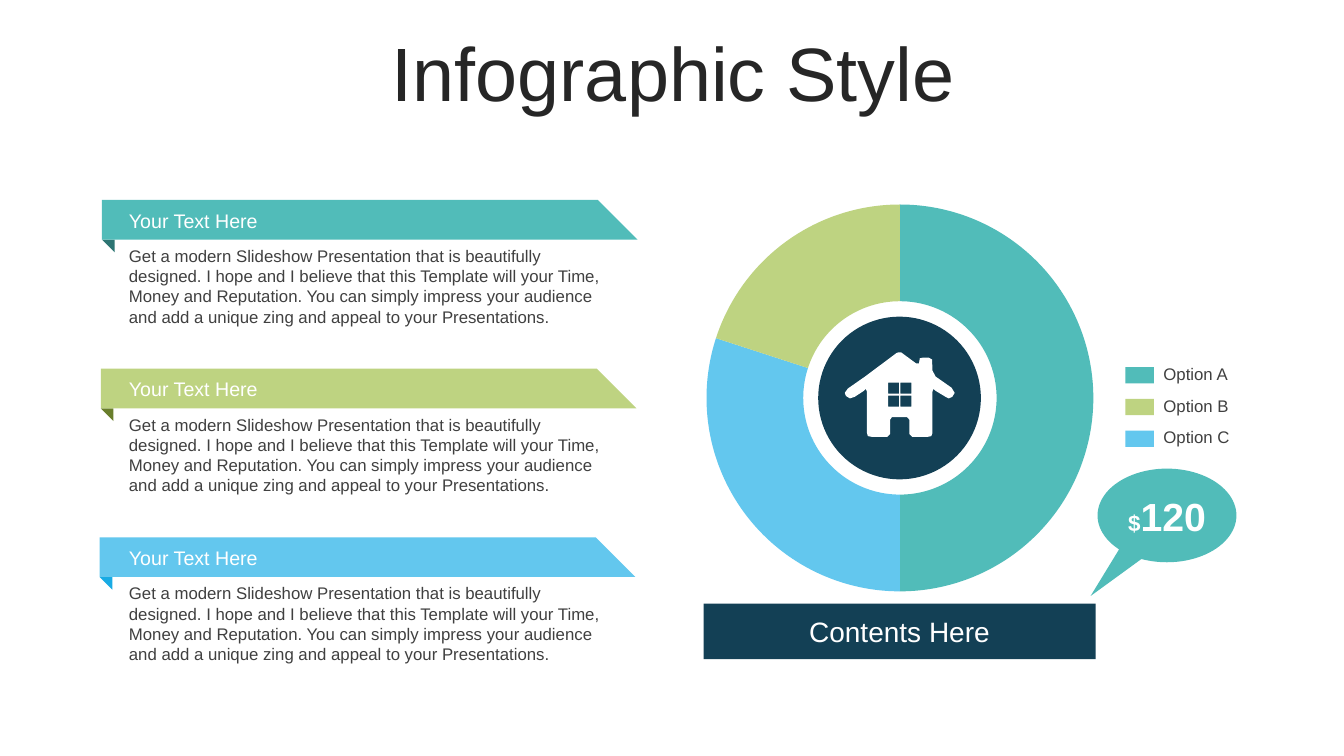
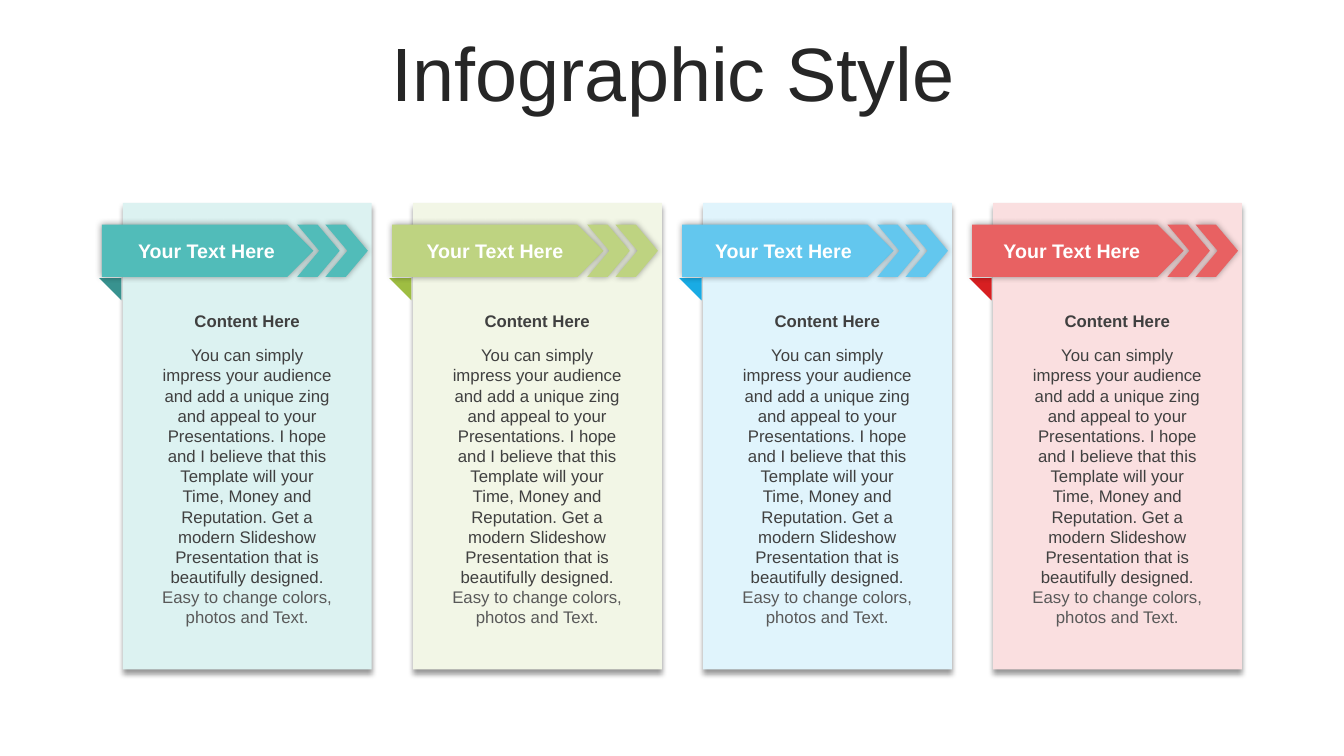
"""Build two infographic slides: a doughnut with ribbons and four arrow cards."""
from lxml.etree import SubElement
from pptx import Presentation
from pptx.chart.data import CategoryChartData
from pptx.dml.color import RGBColor
from pptx.enum.chart import XL_CHART_TYPE
from pptx.enum.shapes import MSO_SHAPE
from pptx.enum.text import MSO_ANCHOR, MSO_AUTO_SIZE, PP_ALIGN
from pptx.oxml.ns import qn
from pptx.util import Cm, Pt

COLOURS = {
    "white": "FFFFFF", "title": "262626", "text": "404040", "soft": "595959",
    "black": "000000", "navy": "134055",
    "teal": "51BCB9", "green": "BED381", "blue": "63C7EE", "red": "E86162",
    "teal pale": "DCF2F1", "green pale": "F2F6E6",
    "blue pale": "E0F4FC", "red pale": "FADFE0",
    "teal fold": "38928F", "green fold": "9EBD42",
    "blue fold": "19ABE4", "red fold": "D71F21",
    "teal deep": "2D7573", "green deep": "697E2C",
}
FONT = "Arial"
TITLE = "Infographic Style"
RIBBON_TEXT = (
    "Get a modern Slideshow Presentation that is beautifully designed. "
    "I hope and I believe that this Template will your Time, Money and Reputation. "
    "You can simply impress your audience and add a unique zing and appeal to your "
    "Presentations."
)
CARD_TEXT = (
    "You can simply impress your audience and add a unique zing and appeal to your "
    "Presentations. I hope and I believe that this Template will your Time, Money and "
    "Reputation. Get a modern Slideshow Presentation that is beautifully designed."
)
CARD_CLOSING = " Easy to change colors, photos and Text."
RIBBON = [(0, 0), (1250, 0), (1350, 100), (0, 100)]
HOUSE = [
    (130, 2), (135, 0), (142, 0), (180, 28), (187, 28), (189, 15), (198, 13),
    (211, 13), (220, 18), (221, 46), (229, 61), (269, 89), (277, 102), (271, 112),
    (262, 116), (254, 112), (229, 97), (223, 92), (221, 99), (221, 203), (218, 211),
    (208, 213), (170, 213), (163, 206), (163, 170), (157, 163), (119, 163),
    (114, 170), (114, 206), (107, 213), (69, 213), (58, 211), (56, 203), (56, 99),
    (53, 92), (48, 97), (25, 112), (13, 116), (3, 110), (0, 102), (8, 91), (51, 61),
]
PANES = [
    [(x, y), (x, y + 28), (x + 28, y + 28), (x + 28, y)]
    for x in (109, 140) for y in (76, 109)
]
CARD_SHADOW = (4, 3, 90)
ARROW_SHADOW = (5, 0, 0)


def rgb(colour):
    return RGBColor.from_string(COLOURS[colour])


class Deck:
    def __init__(self):
        self.deck = Presentation()
        self.deck.slide_width, self.deck.slide_height = Cm(33.87), Cm(19.05)
        self.slide = None

    def new_slide(self, title):
        self.slide = self.deck.slides.add_slide(self.deck.slide_layouts[5])
        heading = self.slide.shapes.title
        heading.left, heading.top = Cm(0.89), Cm(0.94)
        heading.width, heading.height = Cm(32.16), Cm(2)
        frame = heading.text_frame
        frame.auto_size = MSO_AUTO_SIZE.NONE
        frame.vertical_anchor = MSO_ANCHOR.MIDDLE
        self.put_text(frame, title, 54, "title", PP_ALIGN.CENTER).line_spacing = 0.9

    def put_text(self, frame, text, size, colour, align=PP_ALIGN.LEFT, bold=False):
        frame.word_wrap = True
        paragraph = frame.paragraphs[0]
        paragraph.add_run().text = text
        paragraph.alignment = align
        font = paragraph.font
        font.name, font.size, font.bold = FONT, Pt(size), bold
        font.color.rgb = rgb(colour)
        return paragraph

    def text(self, left, top, width, height, text, size, colour, **style):
        box = self.slide.shapes.add_textbox(Cm(left), Cm(top), Cm(width), Cm(height))
        return self.put_text(box.text_frame, text, size, colour, **style)

    def paint(self, shape, colour, shadow=None):
        shape.fill.solid()
        shape.fill.fore_color.rgb = rgb(colour)
        shape.line.fill.background()
        shape.shadow.inherit = False
        if shadow:
            blur, distance, angle = shadow
            effects = shape._element.spPr.find(qn("a:effectLst"))
            outer = SubElement(
                effects, qn("a:outerShdw"), blurRad=str(Pt(blur)),
                dist=str(Pt(distance)), dir=str(angle * 60000), rotWithShape="0")
            black = SubElement(outer, qn("a:srgbClr"), val=COLOURS["black"])
            SubElement(black, qn("a:alpha"), val="40000")
        return shape

    def shape(self, preset, left, top, width, height, colour, adjust=(), shadow=None):
        shape = self.slide.shapes.add_shape(
            preset, Cm(left), Cm(top), Cm(width), Cm(height))
        for index, value in enumerate(adjust):
            shape.adjustments[index] = value
        return self.paint(shape, colour, shadow)

    def fold(self, left, top, side, colour):
        self.shape(MSO_SHAPE.RIGHT_TRIANGLE, left, top, side, side, colour).rotation = 180

    def outline(self, left, top, contours, colour):
        first, *others = contours
        builder = self.slide.shapes.build_freeform(*first[0], scale=Cm(0.01))
        builder.add_line_segments(first[1:])
        for contour in others:
            builder.move_to(*contour[0])
            builder.add_line_segments(contour[1:])
        self.paint(builder.convert_to_shape(Cm(left), Cm(top)), colour)

    def doughnut(self, left, top, width, height, shares):
        data = CategoryChartData()
        data.categories = [str(number + 1) for number in range(len(shares))]
        data.add_series("Series 1", [share for share, _ in shares])
        chart = self.slide.shapes.add_chart(
            XL_CHART_TYPE.DOUGHNUT, Cm(left), Cm(top), Cm(width), Cm(height), data).chart
        chart.has_title = chart.has_legend = False
        chart.font.name, chart.font.size = FONT, Pt(18)
        chart.font.color.rgb = rgb("black")
        plot = chart.plots[0]
        plot.vary_by_categories = True
        for index, (_, colour) in enumerate(shares):
            sector = plot.series[0].points[index].format
            sector.fill.solid()
            sector.fill.fore_color.rgb = rgb(colour)
            sector.line.fill.background()
        plot._element.find(qn("c:holeSize")).set("val", "58")
        area = plot._element.getparent()
        for layout in area.findall(qn("c:layout")):
            area.remove(layout)
        layout = SubElement(area, qn("c:layout"))
        area.insert(0, layout)
        manual = SubElement(layout, qn("c:manualLayout"))
        diameter = 9.75
        across, down = diameter / width, diameter / height
        for tag, value in (
            ("layoutTarget", "inner"), ("xMode", "edge"), ("yMode", "edge"),
            ("x", (1 - across) / 2), ("y", (1 - down) / 2), ("w", across), ("h", down),
        ):
            SubElement(manual, qn(f"c:{tag}"), val=str(value))

    def ribbon(self, left, top, colour, fold_colour):
        self.fold(left, top + 1, 0.32, fold_colour)
        self.outline(left, top, [RIBBON], colour)
        self.text(3, top + 0.09, 10, 0.86, "Your Text Here", 14, "white")
        self.text(3, top + 1.03, 12.4, 2.31, RIBBON_TEXT, 12, "text")

    def legend_entry(self, top, label, colour):
        self.shape(MSO_SHAPE.RECTANGLE, 28.36, top, 0.72, 0.41, colour)
        self.text(29.07, top - 0.21, 2.2, 0.76, label, 12, "text")

    def card(self, left, label_left, hue):
        centred = {"align": PP_ALIGN.CENTER}
        self.shape(MSO_SHAPE.RECTANGLE, left, 5.11, 6.27, 11.76, f"{hue} pale",
                   shadow=CARD_SHADOW)
        self.fold(left - 0.6, 7.01, 0.56, f"{hue} fold")
        self.shape(MSO_SHAPE.PENTAGON, left - 0.53, 5.66, 5.33, 1.32, hue,
                   shadow=ARROW_SHADOW)
        for offset in (4.39, 5.1):
            self.shape(MSO_SHAPE.CHEVRON, left + offset, 5.66, 1.07, 1.32, hue,
                       (0.52,), ARROW_SHADOW)
        self.text(label_left, 5.89, 4.37, 0.86, "Your Text Here", 14, "white",
                  bold=True, **centred)
        self.text(left + 0.69, 7.71, 4.88, 0.76, "Content Here", 12, "text",
                  bold=True, **centred)
        story = self.text(left + 0.69, 8.57, 4.88, 7.44, CARD_TEXT, 12, "text", **centred)
        closing = story.add_run()
        closing.text = CARD_CLOSING
        closing.font.color.rgb = rgb("soft")


def doughnut_slide(deck):
    deck.new_slide(TITLE)
    deck.doughnut(17.32, 4.8, 10.72, 10.46, [(50, "teal"), (30, "blue"), (20, "green")])
    deck.shape(MSO_SHAPE.OVAL, 20.62, 7.98, 4.1, 4.1, "navy")
    deck.outline(21.29, 8.88, [HOUSE, *PANES], "white")
    contents = deck.shape(MSO_SHAPE.RECTANGLE, 17.73, 15.21, 9.88, 1.4, "navy")
    deck.put_text(contents.text_frame, "Contents Here", 20, "white", PP_ALIGN.CENTER)
    price = deck.shape(MSO_SHAPE.OVAL_CALLOUT, 27.66, 11.81, 3.5, 2.36, "teal",
                       (-0.55, 0.86))
    amount = deck.put_text(
        price.text_frame, "$", 16, "white", PP_ALIGN.CENTER, True).add_run()
    amount.text = "120"
    amount.font.size = Pt(28)
    folds = ("teal deep", "green deep", "blue fold")
    for row, (hue, fold) in enumerate(zip(("teal", "green", "blue"), folds)):
        deck.ribbon(2.57 - 0.03 * row, 5.04 + 4.25 * row, hue, fold)
        deck.legend_entry(9.25 + 0.8 * row, f"Option {'ABC'[row]}", hue)


def cards_slide(deck):
    deck.new_slide(TITLE)
    for column, hue in enumerate(("teal", "green", "blue", "red")):
        deck.card(3.1 + 7.31 * column, 3.02 + 7.27 * column, hue)


def main():
    deck = Deck()
    doughnut_slide(deck)
    cards_slide(deck)
    deck.deck.save("out.pptx")


if __name__ == "__main__":
    main()
